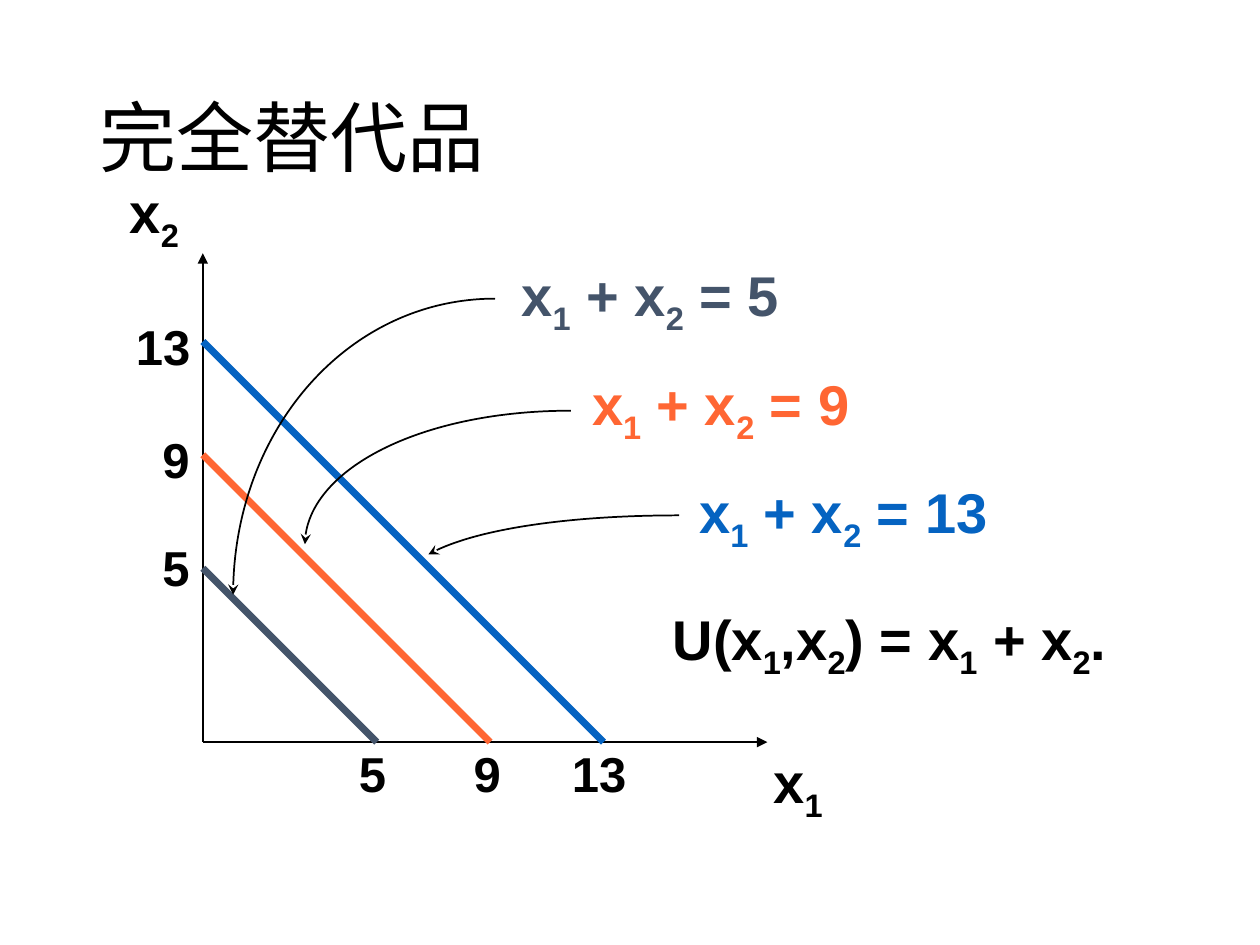
import pptx
import pptx.util
import pptx.dml.color
import pptx.enum.shapes
import pptx.enum.text
import pptx.oxml
import pptx.oxml.ns
from pptx.util import Inches

COLORS = {
    "black": "000000",
    "slate": "44546A",
    "orange": "FF6633",
    "blue": "0563C1",
}
ORIGIN_X, ORIGIN_Y = 1.61, 5.89


class UtilitySlide:
    def __init__(self, deck):
        self.page = deck.slides.add_slide(deck.slide_layouts[6])
        self.shapes = self.page.shapes

    def color(self, name):
        return pptx.dml.color.RGBColor.from_string(COLORS[name])

    def style_line(self, shape, color, width, arrow=None):
        shape.line.color.rgb = self.color(color)
        shape.line.width = pptx.util.Pt(width)
        if arrow:
            end, kind = arrow
            outline = shape.line._get_or_add_ln()
            head = pptx.oxml.ns.qn(f"a:{end}")
            outline.append(outline.makeelement(head, {"type": kind}))

    def title(self, text, left, top, width, height):
        box = self.shapes.add_textbox(Inches(left), Inches(top), Inches(width), Inches(height))
        frame = box.text_frame
        frame.word_wrap = True
        frame.vertical_anchor = pptx.enum.text.MSO_ANCHOR.MIDDLE
        frame.text = text
        para = frame.paragraphs[0]
        para.line_spacing = 0.9
        font = para.runs[0].font
        font.name = "Calibri"
        font.size = pptx.util.Pt(44)
        font.color.rgb = self.color("black")

    def label(self, text, left, top, width, height=0.63, size=32, color="black"):
        box = self.shapes.add_textbox(Inches(left), Inches(top), Inches(width), Inches(height))
        frame = box.text_frame
        frame.word_wrap = False
        frame.auto_size = pptx.enum.text.MSO_AUTO_SIZE.SHAPE_TO_FIT_TEXT
        para = frame.paragraphs[0]
        first, *rest = text.split("_")
        pieces = [(first, False)]
        for part in rest:
            pieces += [(part[0], True), (part[1:], False)]
        for piece, lowered in pieces:
            if not piece:
                continue
            span = para.add_run()
            span.text = piece
            span.font.name = "Arial"
            span.font.size = pptx.util.Pt(size)
            span.font.bold = True
            span.font.color.rgb = self.color(color)
            if lowered:
                span._r.get_or_add_rPr().set("baseline", "-25000")

    def line(self, start, end, color="black", width=1, arrow=None):
        connector = self.shapes.add_connector(
            pptx.enum.shapes.MSO_CONNECTOR.STRAIGHT,
            *(Inches(value) for value in (*start, *end)),
        )
        self.style_line(connector, color, width, arrow)
        properties = connector._element.spPr
        properties.append(properties.makeelement(pptx.oxml.ns.qn("a:effectLst"), {}))

    def curve(self, start, *controls_and_end):
        builder = self.shapes.build_freeform(*(Inches(value) for value in start), scale=1.0)
        points = [(Inches(x), Inches(y)) for x, y in controls_and_end]
        builder.add_line_segments(points, close=False)
        shape = builder.convert_to_shape()
        segments = shape._element.xpath(".//a:lnTo")
        outline = segments[0].getparent()
        bezier = outline.makeelement(pptx.oxml.ns.qn("a:cubicBezTo"), {})
        for segment in segments:
            bezier.append(segment[0])
            outline.remove(segment)
        outline.append(bezier)
        shape.fill.background()
        shape.shadow.inherit = False
        self.style_line(shape, "black", 1, ("headEnd", "stealth"))


def main():
    deck = pptx.Presentation()
    deck.slide_width, deck.slide_height = Inches(10), Inches(7.5)
    slide = UtilitySlide(deck)
    slide.title("完全替代品", 0.69, 0.4, 8.62, 1.45)

    origin = (ORIGIN_X, ORIGIN_Y)
    slide.line((ORIGIN_X, 2.01), origin, arrow=("headEnd", "triangle"))
    slide.line(origin, (6.09, ORIGIN_Y), arrow=("tailEnd", "triangle"))

    indifference_curves = [
        ("5", 1.38, "slate", 2.75, 4.22, 0.42, (4.04, 2.02, 2.28)),
        ("9", 2.28, "orange", 3.66, 3.36, 0.42, (4.6, 2.88, 2.31)),
        ("13", 3.18, "blue", 4.44, 2.46, 0.63, (5.45, 3.74, 2.53)),
    ]
    for total, reach, color, tick_left, tick_top, tick_width, equation in indifference_curves:
        slide.line((ORIGIN_X, ORIGIN_Y - reach), (ORIGIN_X + reach, ORIGIN_Y), color, 4)
        slide.label(total, tick_left, 5.85, tick_width, 0.57, 28)
        slide.label(total, ORIGIN_X - tick_width, tick_top, tick_width, 0.57, 28)
        slide.label(f"x_1 + x_2 = {total}", *equation, color=color)

    slide.label("x_1", 6.04, 5.88, 0.61)
    slide.label("x_2", 0.93, 1.36, 0.61)

    slide.curve((1.85, 4.72), (1.85, 3.42), (2.78, 2.37), (3.93, 2.37))
    slide.curve((2.42, 4.32), (2.42, 3.74), (3.37, 3.26), (4.53, 3.26))
    slide.curve((3.4, 4.4), (3.73, 4.21), (4.52, 4.09), (5.39, 4.09))
    slide.label("U(x_1,x_2) = x_1 + x_2.", 5.24, 4.75, 3.76)

    deck.save("out.pptx")


if __name__ == "__main__":
    main()
